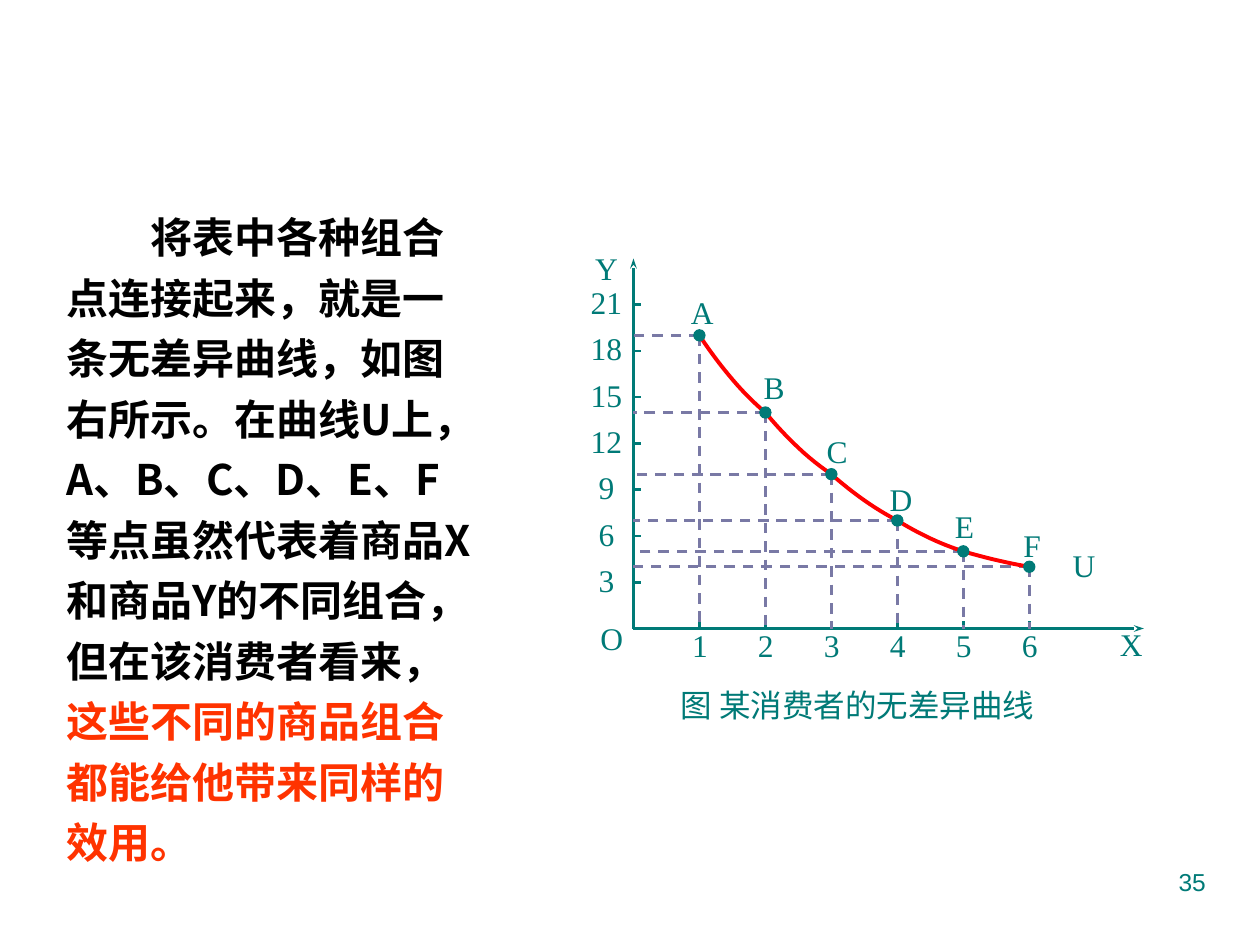
from lxml.etree import SubElement
from pptx import Presentation
from pptx.dml.color import RGBColor
from pptx.enum.dml import MSO_LINE_DASH_STYLE as Dash
from pptx.enum.shapes import MSO_CONNECTOR as Connector, MSO_SHAPE as Shape
from pptx.enum.text import MSO_AUTO_SIZE as AutoSize, PP_ALIGN as Align
from pptx.oxml.ns import qn
from pptx.util import Cm, Pt

# Content
COLORS = {"teal": "007A77", "guide": "7979A5", "curve": "FF0000",
          "black": "000000", "accent": "FF3300"}
SERIF, CHINESE, SANS = "Times New Roman", "Noto Sans CJK SC", "Arial"

BODY = [
    ("将表中各种组合点连接起来，就是一条无差异曲线，如图右所示。在曲线U上，"
     "A、B、C、D、E、F等点虽然代表着商品X和商品Y的不同组合，但在该消费者看来，", "black"),
    ("这些不同的商品组合都能给他带来同样的效用。", "accent"),
]
CAPTION = "图 某消费者的无差异曲线"
PAGE_NUMBER = "35"

# Combinations of goods X and Y: name, x, y, label left and top (cm)
COMBINATIONS = [
    ("A", 1, 19, 13.43, 5.81), ("B", 2, 14, 14.88, 7.32),
    ("C", 3, 10, 16.15, 8.61), ("D", 4, 7, 17.44, 9.58),
    ("E", 5, 5, 18.72, 10.13), ("F", 6, 4, 20.08, 10.51),
]
SAGS = [0.11, 0.09, 0.06, 0.05, 0.02]  # how far each curve piece bows (cm)
CURVE_STEPS = 12
NAMES = [("Y", 11.5, 4.93), ("X", 22.08, 12.5), ("O", 11.61, 12.38),
         ("U", 21.13, 10.9)]

# Axis geometry in cm
ORIGIN_X, ORIGIN_Y = 12.77, 12.67
UNIT_X, UNIT_Y = 1.33, 0.311
AXIS_RIGHT, AXIS_TOP = 23.06, 5.21
TICK, DOT = 0.15, 0.25
LABEL_WIDTH, LABEL_HEIGHT, NUMBER_WIDTH = 1.45, 1.17, 0.97


def at_x(value):
    return ORIGIN_X + value * UNIT_X


def at_y(value):
    return ORIGIN_Y - value * UNIT_Y


def color(name):
    return RGBColor.from_string(COLORS[name])


def add_text(shapes, spans, left, top, width, height, size=18, font=SERIF,
             bold=False, align=Align.CENTER, wrap=False, inset=(0.15, 0.1),
             spacing=None, indent=0, auto_size=AutoSize.NONE):
    """Add one paragraph; spans is a string or a list of (text, color)."""
    box = shapes.add_textbox(Cm(left), Cm(top), Cm(width), Cm(height))
    frame = box.text_frame
    frame.word_wrap = wrap
    frame.auto_size = auto_size
    frame.margin_left = frame.margin_right = Cm(inset[0])
    frame.margin_top = frame.margin_bottom = Cm(inset[1])
    para = frame.paragraphs[0]
    para.alignment = align
    if spacing:
        para.line_spacing = spacing
    # Keep punctuation inside the box
    properties = para._p.get_or_add_pPr()
    properties.set("hangingPunct", "0")
    properties.set("indent", str(Cm(indent)))
    for text, tint in [(spans, "teal")] if isinstance(spans, str) else spans:
        span = para.add_run()
        span.text = text
        span.font.size = Pt(size)
        span.font.bold = bold
        span.font.name = font
        span.font.color.rgb = color(tint)
        SubElement(span.font._element, qn("a:ea"), typeface=font)


def add_line(shapes, x1, y1, x2, y2, tint="teal", dashed=False, arrow=False):
    line = shapes.add_connector(Connector.STRAIGHT, Cm(x1), Cm(y1), Cm(x2), Cm(y2))
    line.line.color.rgb = color(tint)
    line.line.width = Pt(1.5)
    if dashed:
        line.line.dash_style = Dash.DASH
    properties = line._element.spPr
    if arrow:
        SubElement(properties.find(qn("a:ln")), qn("a:tailEnd"), type="stealth", w="sm")
    SubElement(properties, qn("a:effectLst"))


def add_curve_piece(shapes, start, end, sag):
    points = []
    for step in range(CURVE_STEPS + 1):
        t = step / CURVE_STEPS
        x = start[0] + (end[0] - start[0]) * t
        y = start[1] + (end[1] - start[1]) * t + 4 * sag * t * (1 - t)
        points.append((Cm(x), Cm(y)))
    builder = shapes.build_freeform(*points[0])
    builder.add_line_segments(points[1:], close=False)
    piece = builder.convert_to_shape()
    piece.shadow.inherit = False
    piece.fill.background()
    piece.line.color.rgb = color("curve")
    piece.line.width = Pt(2.25)


def add_dot(shapes, x, y):
    dot = shapes.add_shape(Shape.OVAL, Cm(x - DOT / 2), Cm(y - DOT / 2), Cm(DOT), Cm(DOT))
    dot.shadow.inherit = False
    dot.fill.solid()
    dot.fill.fore_color.rgb = color("teal")
    dot.line.fill.background()


def add_diagram(page):
    shapes = page.shapes.add_group_shape().shapes

    # Axes
    add_line(shapes, ORIGIN_X, ORIGIN_Y, ORIGIN_X, AXIS_TOP, arrow=True)
    add_line(shapes, ORIGIN_X, ORIGIN_Y, AXIS_RIGHT, ORIGIN_Y, arrow=True)

    # Ticks and their numbers
    for value in range(1, 7):
        x = at_x(value)
        add_line(shapes, x, ORIGIN_Y, x, ORIGIN_Y - TICK)
        add_text(shapes, str(value), x - NUMBER_WIDTH / 2 + 0.01, 12.52,
                 NUMBER_WIDTH, LABEL_HEIGHT)
    for value in range(3, 22, 3):
        y = at_y(value)
        add_line(shapes, ORIGIN_X, y, ORIGIN_X + TICK, y)
        add_text(shapes, str(value), 11.74, y - 0.53, NUMBER_WIDTH, LABEL_HEIGHT)

    # Guides, curve and dots
    points = [(at_x(x), at_y(y)) for _, x, y, _, _ in COMBINATIONS]
    for x, y in points:
        add_line(shapes, x, y, x, ORIGIN_Y, "guide", dashed=True)
        add_line(shapes, x, y, ORIGIN_X, y, "guide", dashed=True)
    for start, end, sag in zip(points, points[1:], SAGS):
        add_curve_piece(shapes, start, end, sag)
    for x, y in points:
        add_dot(shapes, x, y)

    # Names of points, axes and curve
    point_names = [(name, left, top) for name, _, _, left, top in COMBINATIONS]
    for name, left, top in point_names + NAMES:
        add_text(shapes, name, left, top, LABEL_WIDTH, LABEL_HEIGHT)
    add_text(shapes, CAPTION, 12.47, 13.69, 9.63, 1.22, font=CHINESE,
             wrap=True, inset=(0.25, 0.13))


def main():
    deck = Presentation()
    deck.slide_width, deck.slide_height = Cm(25.4), Cm(19.05)
    page = deck.slides.add_slide(deck.slide_layouts[6])

    add_diagram(page)
    # Explanation and page number
    add_text(page.shapes, BODY, 1.09, 3.94, 8.81, 13.67, size=24, font=CHINESE,
             bold=True, align=Align.LEFT, wrap=True, inset=(0.25, 0.13),
             spacing=1.2, indent=1.69, auto_size=AutoSize.SHAPE_TO_FIT_TEXT)
    add_text(page.shapes, PAGE_NUMBER, 18.21, 17.35, 6.35, 1.32, size=14,
             font=SANS, align=Align.RIGHT, wrap=True, inset=(0.25, 0.13))

    deck.save("out.pptx")


if __name__ == "__main__":
    main()
